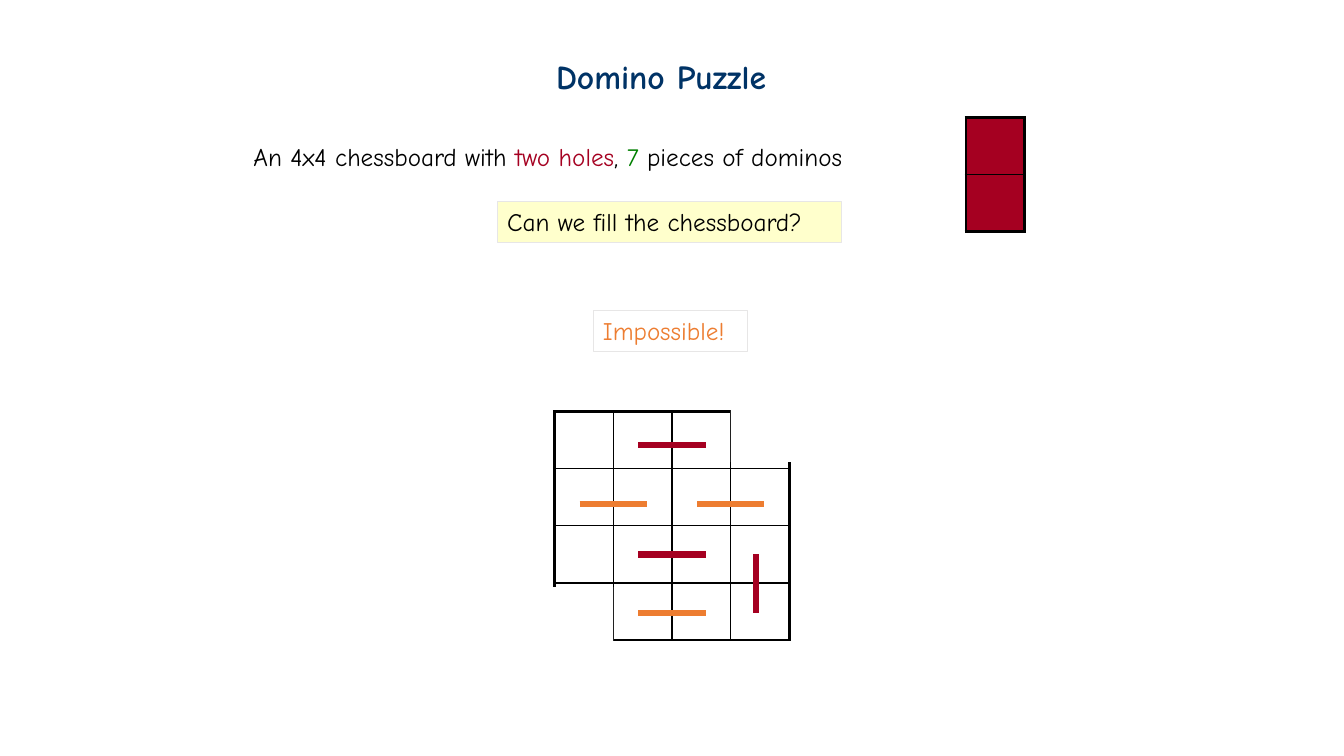
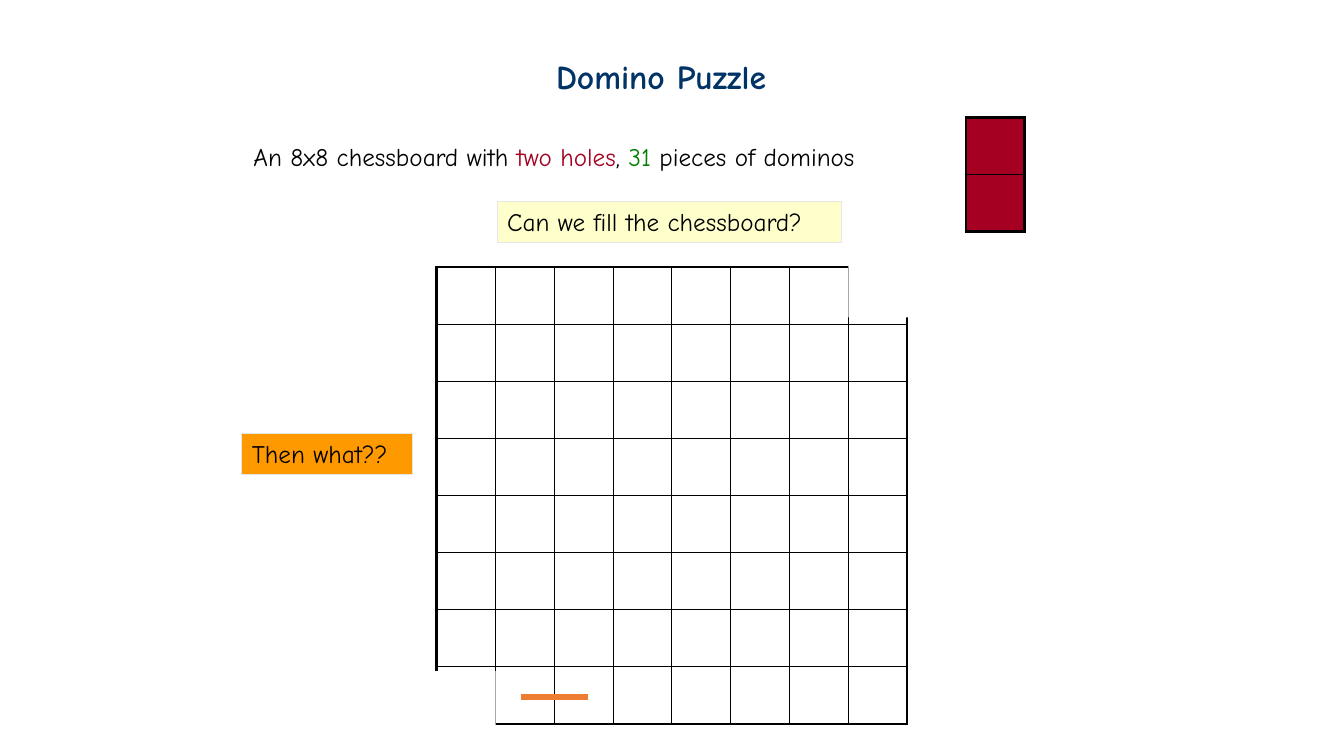
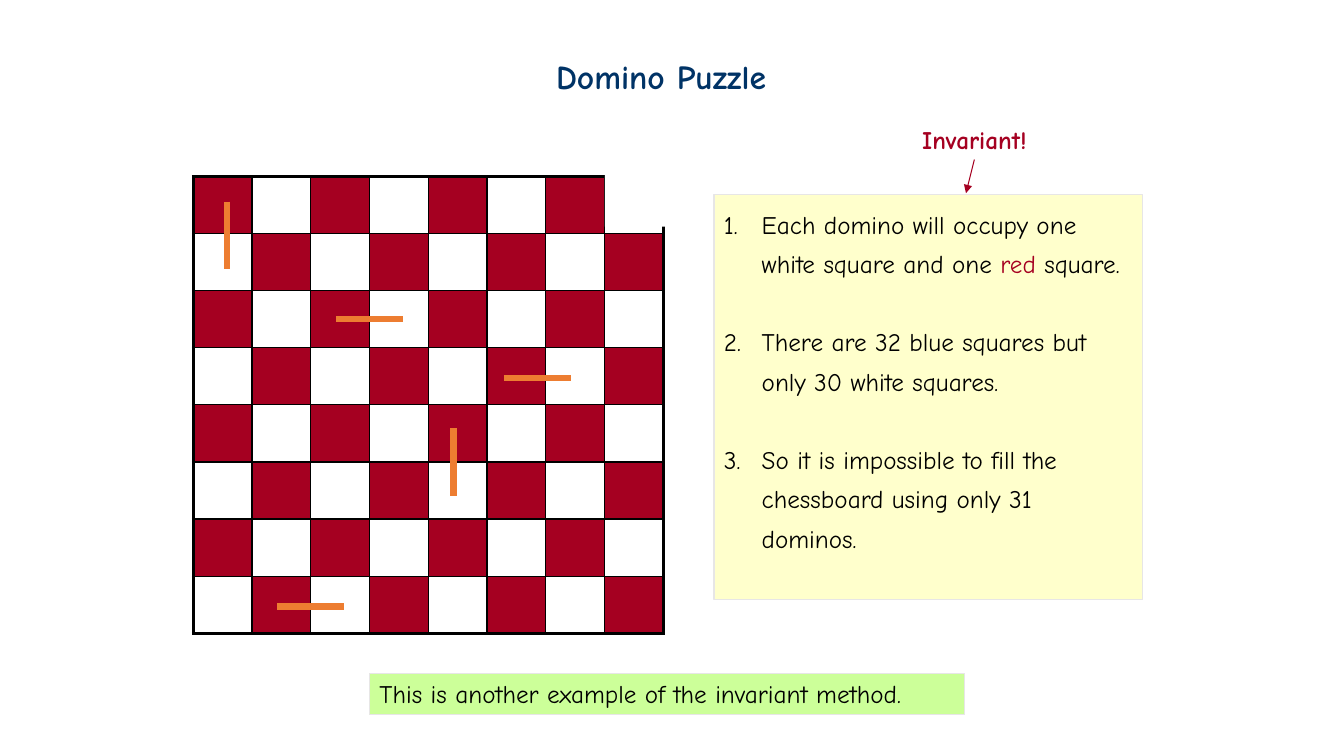
from pptx import Presentation
from pptx.dml.color import RGBColor
from pptx.enum.shapes import MSO_CONNECTOR, MSO_SHAPE
from pptx.enum.text import MSO_ANCHOR, MSO_AUTO_SIZE, PP_ALIGN
from pptx.oxml.ns import qn
from pptx.util import Pt
from lxml.etree import SubElement

PX = 7620
COLORS = {
    "navy": "003366", "black": "000000", "white": "FFFFFF", "red": "A50021",
    "green": "008000", "orange": "ED7D31", "amber": "FF9900", "cream": "FFFFCC",
    "lime": "CCFF99", "grey": "E7E6E6",
}
BODY = {"name": "Comic Neue", "size": Pt(18), "bold": False}
STRONG = {**BODY, "bold": True}
TITLE = {**STRONG, "size": Pt(24)}
FRAME = {
    "word_wrap": True, "auto_size": MSO_AUTO_SIZE.NONE,
    "vertical_anchor": MSO_ANCHOR.TOP,
}
CELL_W, CELL_H = 70, 68
THIN, THICK = 1, 2.25
DASH = 80


def px(*lengths):
    return [length * PX for length in lengths]


def rgb(color):
    return RGBColor.from_string(COLORS[color])


def apply(target, values):
    for name, value in values.items():
        setattr(target, name, value)


def write(p, runs, fmt=BODY):
    p.alignment = PP_ALIGN.LEFT
    for text, color in runs:
        r = p.add_run()
        r.text = text
        apply(r.font, fmt)
        r.font.color.rgb = rgb(color)


def add_slide(prs):
    s = prs.slides.add_slide(prs.slide_layouts[5])
    title = s.shapes.title
    box = px(650, 60, 294, 60)
    apply(title, dict(zip(("left", "top", "width", "height"), box)))
    apply(title.text_frame, FRAME)
    write(title.text_frame.paragraphs[0], [("Domino Puzzle", "navy")], TITLE)
    return s


def add_text(s, box, runs, fmt=BODY):
    tf = s.shapes.add_textbox(*px(*box)).text_frame
    apply(tf, FRAME)
    write(tf.paragraphs[0], runs, fmt)


def add_rect(s, box, fill, line=None):
    sp = s.shapes.add_shape(MSO_SHAPE.RECTANGLE, *px(*box))
    sp.shadow.inherit = False
    sp.fill.solid()
    sp.fill.fore_color.rgb = rgb(fill)
    if line:
        sp.line.color.rgb = rgb(line)
        sp.line.width = Pt(0.75)
    else:
        sp.line.fill.background()
    apply(sp.text_frame, FRAME)
    return sp


def add_callout(s, box, text, fill, color="black"):
    sp = add_rect(s, box, fill, "grey")
    write(sp.text_frame.paragraphs[0], [(text, color)])


def add_numbered(s, box, items, fill):
    tf = add_rect(s, box, fill, "grey").text_frame
    for i, runs in enumerate(items):
        p = tf.add_paragraph() if i else tf.paragraphs[0]
        pPr = p._p.get_or_add_pPr()
        pPr.set("marL", str(45 * PX))
        pPr.set("indent", str(-45 * PX))
        color = SubElement(pPr, qn("a:buClr"))
        SubElement(color, qn("a:srgbClr"), val=COLORS["black"])
        SubElement(pPr, qn("a:buAutoNum"), type="arabicPeriod")
        p.line_spacing = 1.3
        if i:
            p.space_before = Pt(28)
        write(p, runs)


def add_line(s, start, end, color, width, arrow=False):
    c = s.shapes.add_connector(MSO_CONNECTOR.STRAIGHT, *px(*start, *end))
    c.line.color.rgb = rgb(color)
    c.line.width = Pt(width)
    if arrow:
        SubElement(c.line._get_or_add_ln(), qn("a:tailEnd"), type="triangle")
    SubElement(c._element.spPr, qn("a:effectLst"))


def add_dashes(s, color, points, vertical=False, length=DASH):
    for x, y in points:
        end = (x, y + length) if vertical else (x + length, y)
        add_line(s, (x, y), end, color, 4.5)


def set_borders(cell, widths):
    tcPr = cell._tc.get_or_add_tcPr()
    for side, width in widths.items():
        ln = SubElement(tcPr, qn(f"a:ln{side}"), w=str(Pt(width)))
        fill = SubElement(ln, qn("a:solidFill"))
        SubElement(fill, qn("a:srgbClr"), val=COLORS["black"])


def add_grid(s, x, y, rows, cols, is_red):
    box = px(x, y, cols * CELL_W, rows * CELL_H)
    table = s.shapes.add_table(rows, cols, *box).table
    apply(table, {"first_row": False, "horz_banding": False})
    for row in range(rows):
        for col in range(cols):
            cell = table.cell(row, col)
            edges = {"L": col == 0, "R": col == cols - 1,
                     "T": row == 0, "B": row == rows - 1}
            set_borders(cell, {k: THICK if v else THIN for k, v in edges.items()})
            if is_red(row, col):
                cell.fill.solid()
                cell.fill.fore_color.rgb = rgb("red")
            else:
                cell.fill.background()


def add_board(s, x, y, n, checkered=False):
    add_grid(s, x, y, n, n, lambda row, col: checkered and (row + col) % 2 == 0)
    holes = [(x + (n - 1) * CELL_W, y - 10)]
    if not checkered:
        holes.append((x - 10, y + (n - 1) * CELL_H + 5))
    for hole in holes:
        add_rect(s, (*hole, 80, 70), "white")


def add_question(s, size, pieces):
    add_text(s, (290, 162, 809, 48), [
        (f"An {size}x{size} chessboard with ", "black"), ("two holes", "red"),
        (", ", "black"), (str(pieces), "green"), (" pieces of dominos", "black"),
    ])
    add_grid(s, 1150, 140, 2, 1, lambda row, col: True)
    add_callout(s, (592, 240, 410, 49), "Can we fill the chessboard?", "cream")


def small_board(prs):
    s = add_slide(prs)
    add_question(s, 4, 7)
    add_board(s, 660, 490, 4)
    add_callout(s, (706, 370, 184, 49), "Impossible!", "white", "orange")
    add_dashes(s, "orange", [(760, 730), (830, 600), (690, 600)])
    add_dashes(s, "red", [(760, 660), (760, 530)])
    add_dashes(s, "red", [(900, 660)], vertical=True, length=70)


def large_board(prs):
    s = add_slide(prs)
    add_question(s, 8, 31)
    add_board(s, 520, 318, 8)
    add_callout(s, (288, 516, 203, 49), "Then what??", "amber")
    add_dashes(s, "orange", [(620, 830)])


def invariant(prs):
    s = add_slide(prs)
    add_board(s, 230, 210, 8, checkered=True)
    add_dashes(s, "orange", [(330, 722), (400, 380), (600, 450)])
    add_dashes(s, "orange", [(540, 510), (270, 240)], vertical=True)
    add_numbered(s, (850, 232, 510, 482), [
        [("Each domino will occupy one white square and one ", "black"),
         ("red", "red"), (" square.", "black")],
        [("There are 32 blue squares but only 30 white squares.", "black")],
        [("So it is impossible to fill the chessboard using only 31 dominos.",
          "black")],
    ], "cream")
    add_text(s, (1086, 142, 163, 48), [("Invariant!", "red")], STRONG)
    add_line(s, (1160, 190), (1150, 230), "red", 0.75, arrow=True)
    add_callout(s, (440, 802, 708, 49),
                "This is another example of the invariant method.", "lime")


def main():
    prs = Presentation()
    prs.slide_width, prs.slide_height = px(1600, 900)
    for build in (small_board, large_board, invariant):
        build(prs)
    prs.save("out.pptx")


if __name__ == "__main__":
    main()
